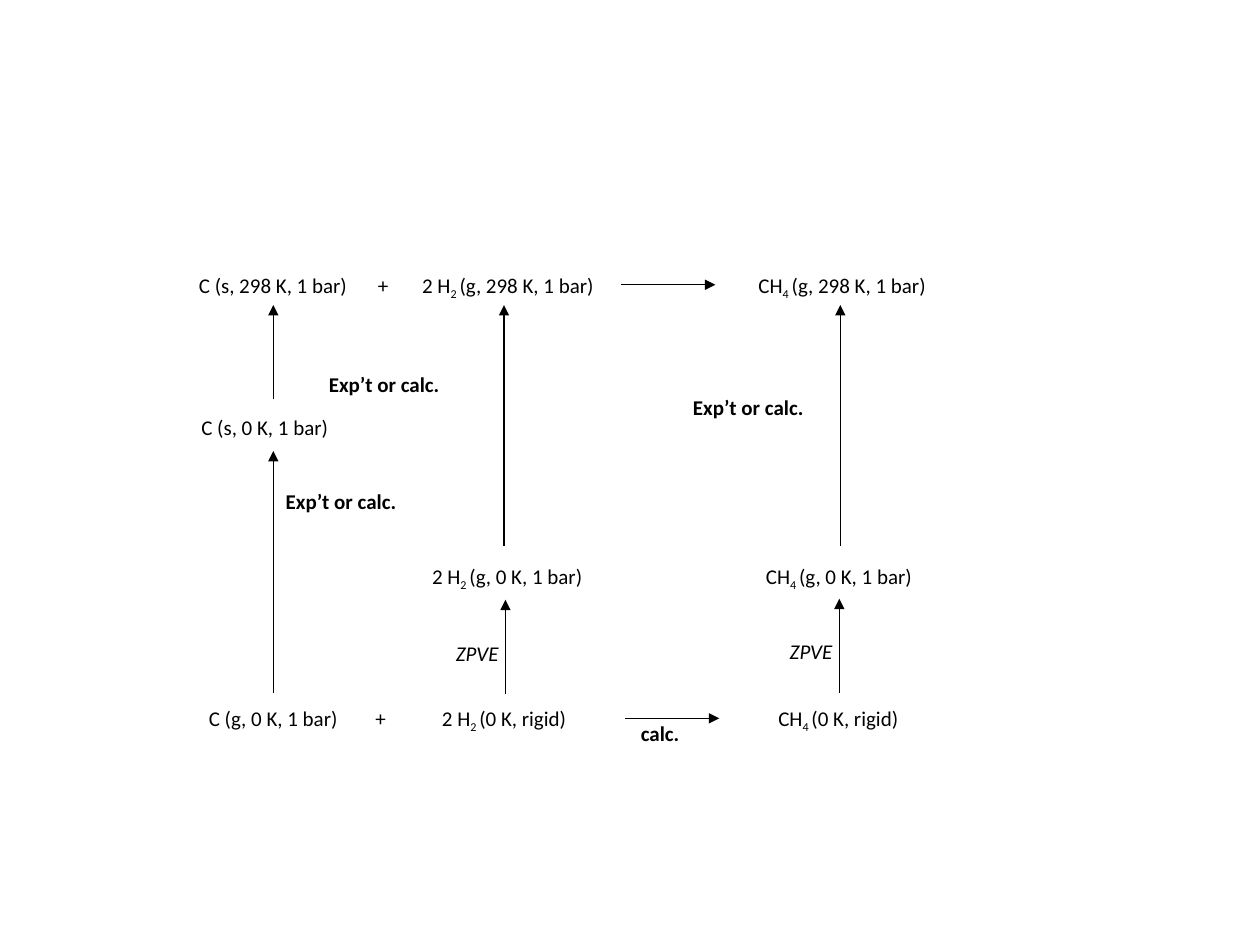
from lxml.etree import SubElement
from pptx import Presentation
from pptx.dml.color import RGBColor
from pptx.enum.shapes import MSO_CONNECTOR
from pptx.enum.text import MSO_AUTO_SIZE
from pptx.oxml.ns import qn
from pptx.util import Cm, Pt

BLACK = "000000"
TOP, MID, LOW, BASE = 5.36, 8.23, 11.23, 14.1
STATES = [
    ("C (s, 298 K, 1 bar)", 3.76, TOP, 3.51),
    ("+", 7.37, TOP, 0.71),
    ("2 H_2 _(g, 298 K, 1 bar)", 8.26, TOP, 3.99),
    ("CH_4 _(g, 298 K, 1 bar)", 15.04, TOP, 3.91),
    ("C (s, 0 K, 1 bar)", 3.81, MID, 3.07),
    ("2 H_2 _(g, 0 K, 1 bar)", 8.46, LOW, 3.56),
    ("CH_4 _(g, 0 K, 1 bar)", 15.19, LOW, 3.48),
    ("C (g, 0 K, 1 bar)", 3.96, BASE, 3.1),
    ("+", 7.32, BASE, 0.71),
    ("2 H_2 _(0 K, rigid)", 8.66, BASE, 3.05),
    ("CH_4 _(0 K, rigid)", 15.44, BASE, 2.95),
]
SOURCES = [(6.38, 7.37), (13.72, 7.82), (5.51, 9.73)]
ZEROS = [(8.94, 12.78), (15.67, 12.75)]
RISES = [
    (5.51, 8.05, 6.15),
    (5.51, 13.97, 9.09),
    (10.16, 11, 6.15),
    (10.19, 14, 12.09),
    (16.94, 11, 6.15),
    (16.92, 13.97, 12.07),
]
STEPS = [(12.52, 5.74), (12.6, 14.48)]
REACH = 1.9


def color(code):
    """Turn a hex string into a colour."""
    return RGBColor.from_string(code)


def label(slide, text, left, top, width, bold=False, slant=False):
    """Add a one-line label; parts between underscores are subscripts."""
    box = slide.shapes.add_textbox(Cm(left), Cm(top), Cm(width), Cm(0.77))
    frame = box.text_frame
    frame.word_wrap = False
    frame.auto_size = MSO_AUTO_SIZE.SHAPE_TO_FIT_TEXT
    line = frame.paragraphs[0]
    for spot, part in enumerate(text.split("_")):
        run = line.add_run()
        run.text = part
        if spot % 2:
            run._r.get_or_add_rPr().set("baseline", "-25000")
    font = line.font
    font.name, font.size = "Calibri", Pt(12)
    font.bold, font.italic = bold, slant
    font.color.rgb = color(BLACK)


def arrow(slide, left, top, right, end):
    """Add a thin arrow with its head at the second point."""
    line = slide.shapes.add_connector(
        MSO_CONNECTOR.STRAIGHT, Cm(left), Cm(top), Cm(right), Cm(end))
    line.line.color.rgb = color(BLACK)
    line.line.width = Pt(0.75)
    props = line.element.spPr
    SubElement(props.find(qn("a:ln")), qn("a:tailEnd"), type="triangle")
    SubElement(props, qn("a:effectLst"))


def main():
    """Build the heat of formation cycle for methane."""
    deck = Presentation()
    deck.slide_width, deck.slide_height = Cm(25.4), Cm(19.05)
    slide = deck.slides.add_slide(deck.slide_layouts[6])
    for state in STATES:
        label(slide, *state)
    for left, top in SOURCES:
        label(slide, "Exp’t or calc.", left, top, 2.74, bold=True)
    for left, top in ZEROS:
        label(slide, "ZPVE", left, top, 1.37, slant=True)
    label(slide, "calc.", 12.67, 14.4, 1.3, bold=True)
    for left, start, end in RISES:
        arrow(slide, left, start, left, end)
    for left, top in STEPS:
        arrow(slide, left, top, left + REACH, top)
    deck.save("out.pptx")


if __name__ == "__main__":
    main()
